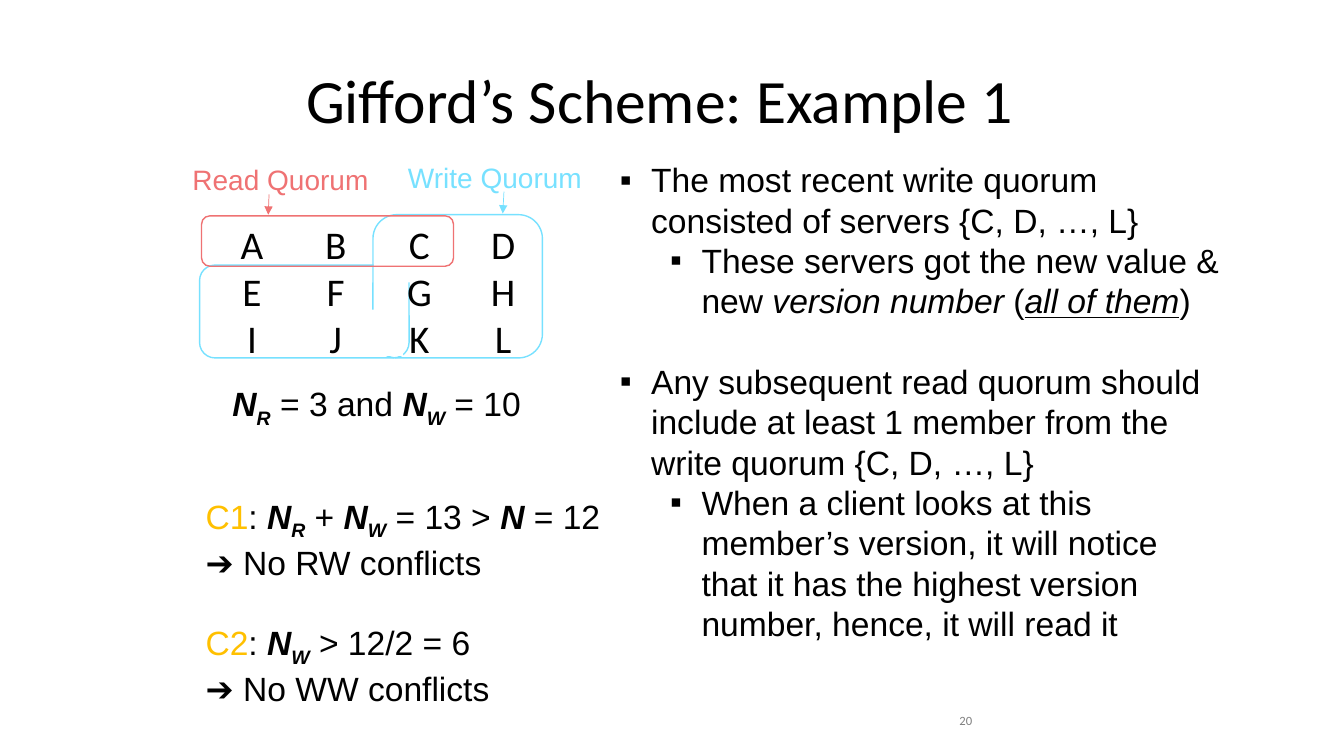
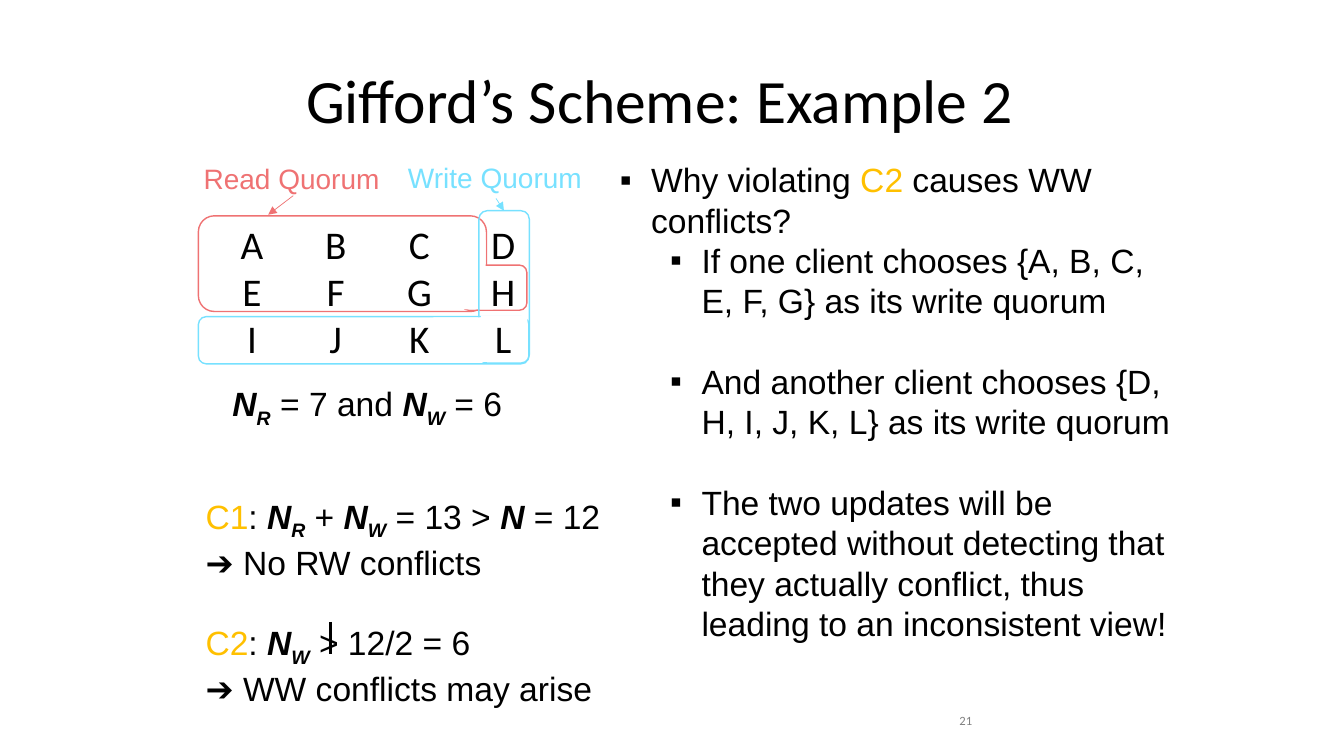
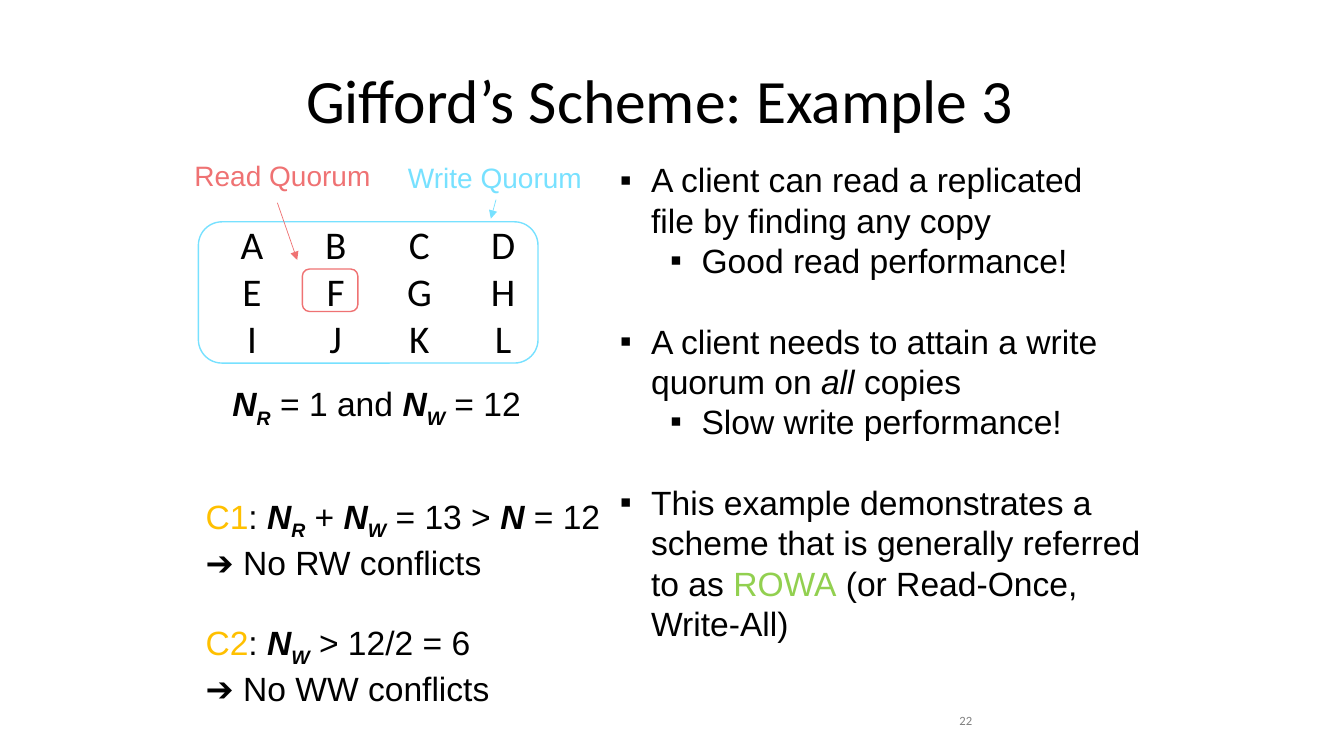
from lxml.etree import SubElement
from pptx import Presentation
from pptx.dml.color import RGBColor
from pptx.enum.shapes import MSO_CONNECTOR, MSO_SHAPE
from pptx.enum.text import MSO_ANCHOR, PP_ALIGN
from pptx.oxml.ns import qn
from pptx.util import Cm, Pt

BLACK, WHITE, GRAY = "000000", "FFFFFF", "808080"
READ, WRITE, AMBER, GREEN = "EF7273", "77E1FF", "FFC000", "92D050"

# Regions in cm: left, top, width, height
TITLE_BOX = (4.88, 0.76, 23.5, 3.68)
NUMBER_BOX = (23.93, 17.65, 7.62, 1.02)
QUORUM_BOX = (4.65, 4.57, 9.73, 5.51)
COUNT_BOX = (5.61, 9.53, 8.05, 1.27)
CONDITION_BOX = (4.93, 12.37, 10.67, 5.38)
NOTES_LEFT, NOTES_TOP, NOTES_HEIGHT = 15.37, 3.89, 12.57

BODY_FORMAT = {"name": "Arial", "size": Pt(24)}
LABEL_FORMAT = {"name": "Arial", "size": Pt(20)}
TITLE_FORMAT = {"name": "Calibri", "size": Pt(44)}
LETTER_FORMAT = {"name": "Calibri", "size": Pt(28)}
NUMBER_FORMAT = {"name": "Calibri", "size": Pt(9)}
BLANK_LINE = Pt(28.8)

# Run styles: font attributes, with colour and baseline handled apart
STYLES = {
    "plain": {},
    "symbol": {"bold": True, "italic": True},
    "sub": {"bold": True, "italic": True, "baseline": "-25000"},
    "italic": {"italic": True},
    "stress": {"italic": True, "underline": True},
    "amber": {"color": AMBER},
    "green": {"color": GREEN},
}


def color(value):
    return RGBColor.from_string(value)


def offset(box, left, top):
    return box[0] + left, box[1] + top


# Text
def add_span(para, text, base, style="plain", fill=BLACK):
    """Write one run per line of text, with line breaks between."""
    values = {**base, **STYLES[style]}
    fill = values.pop("color", fill)
    baseline = values.pop("baseline", None)
    for index, line in enumerate(text.split("\n")):
        if index:
            para.add_line_break()
        span = para.add_run()
        span.text = line
        for name, value in values.items():
            setattr(span.font, name, value)
        span.font.color.rgb = color(fill)
        if baseline:
            span._r.get_or_add_rPr().set("baseline", baseline)


def add_text(page, box, paragraphs, base, fill=BLACK, anchor=MSO_ANCHOR.TOP,
             wrap=True, **settings):
    """Each paragraph is a string or a list of (text, style) pairs."""
    frame = page.shapes.add_textbox(*map(Cm, box)).text_frame
    frame.word_wrap = wrap
    frame.vertical_anchor = anchor
    for index, content in enumerate(paragraphs):
        para = frame.add_paragraph() if index else frame.paragraphs[0]
        for name, value in settings.items():
            setattr(para, name, value)
        spans = [(content, "plain")] if isinstance(content, str) else content
        for text, style in spans:
            add_span(para, text, base, style, fill)
    return frame


def add_bullet(para, level):
    properties = para._p.get_or_add_pPr()
    properties.set("marL", str(Cm(0.79 + 1.27 * level)))
    properties.set("indent", str(Cm(-0.79)))
    para.level = level
    SubElement(properties, qn("a:buFont")).set("typeface", "Arial")
    SubElement(properties, qn("a:buChar")).set("char", "▪")


# Lines and outlines
def add_line(page, start, end, stroke, width, arrow=False):
    line = page.shapes.add_connector(
        MSO_CONNECTOR.STRAIGHT, *map(Cm, (*start, *end)))
    line.line.color.rgb = color(stroke)
    line.line.width = Pt(width)
    if arrow:
        SubElement(line.line._get_or_add_ln(), qn("a:tailEnd")).set("type", "triangle")
    SubElement(line._element.spPr, qn("a:effectLst"))


def add_mark(page, box, mark):
    """Draw a quorum outline, or a white patch that opens one."""
    stroke, left, top, width, height = mark
    patch = stroke == WHITE
    kind = MSO_SHAPE.RECTANGLE if patch else MSO_SHAPE.ROUNDED_RECTANGLE
    shape = page.shapes.add_shape(
        kind, *map(Cm, (*offset(box, left, top), width, height)))
    shape.shadow.inherit = False
    if patch:
        shape.fill.solid()
        shape.fill.fore_color.rgb = color(WHITE)
        shape.line.fill.background()
    else:
        shape.fill.background()
        shape.line.color.rgb = color(stroke)
        shape.line.width = Pt(1)


# Regions
def add_header(page, title, number):
    add_text(page, TITLE_BOX, [title], TITLE_FORMAT, anchor=MSO_ANCHOR.MIDDLE,
             alignment=PP_ALIGN.CENTER, line_spacing=0.9)
    add_text(page, NUMBER_BOX, [str(number)], NUMBER_FORMAT, GRAY, MSO_ANCHOR.MIDDLE)


def add_quorums(page, box, marks, labels):
    for mark in marks:
        add_mark(page, box, mark)
    # Server letters on centred tab stops
    rows = ["".join("\t" + letter for letter in row) for row in ("ABCD", "EFGH", "IJKL")]
    frame = add_text(page, box, rows, LETTER_FORMAT, anchor=MSO_ANCHOR.MIDDLE)
    for para in frame.paragraphs:
        stops = SubElement(para._p.get_or_add_pPr(), qn("a:tabLst"))
        for column in range(4):
            stop = SubElement(stops, qn("a:tab"))
            stop.set("pos", str(Cm(1.45 + 2.11 * column)))
            stop.set("algn", "ctr")
    # Labels with their arrows
    for name, stroke, corner, start, end in labels:
        add_line(page, offset(box, *start), offset(box, *end), stroke, 0.5, arrow=True)
        add_text(page, (*offset(box, *corner), 4.98, 1.12), [name + " Quorum"],
                 LABEL_FORMAT, stroke, wrap=False)


def add_counts(page, box, read_count, write_count):
    add_text(page, box, [[
        ("N", "symbol"), ("R", "sub"), (f" = {read_count} and ", "plain"),
        ("N", "symbol"), ("W", "sub"), (f" = {write_count}", "plain"),
    ]], BODY_FORMAT, wrap=False)


def add_conditions(page, box, outcome, violated):
    frame = add_text(page, box, [
        [("C1", "amber"), (": ", "plain"), ("N", "symbol"), ("R", "sub"),
         (" + ", "plain"), ("N", "symbol"), ("W", "sub"), (" = 13 > ", "plain"),
         ("N", "symbol"), (" = 12", "plain")],
        "➔ No RW conflicts",
        [("C2", "amber"), (": ", "plain"), ("N", "symbol"), ("W", "sub"),
         (" > 12/2 = 6", "plain")],
        f"➔ {outcome}",
    ], BODY_FORMAT, wrap=False)
    frame.paragraphs[2].space_before = BLANK_LINE
    if violated:
        add_line(page, offset(box, 3.4, 3.3), offset(box, 3.4, 4.11), BLACK, 2.75)


def add_notes(page, box, notes):
    """Each note is (level, gap before it, content)."""
    frame = add_text(page, box, [content for _, _, content in notes], BODY_FORMAT)
    for para, (level, gap, _) in zip(frame.paragraphs, notes):
        if gap:
            para.space_before = BLANK_LINE
        add_bullet(para, level)


# Slide contents; marks and labels are measured from the quorum box
EXAMPLES = [
    {
        "marks": [
            (WRITE, 4.75, 0.84, 4.27, 3.61), (WRITE, 0.38, 2.11, 5.28, 2.34),
            (WHITE, 4.77, 1.48, 1.22, 1.07), (WHITE, 4.09, 3.23, 1.42, 1.17),
            (READ, 0.43, 0.87, 6.35, 1.27),
        ],
        "labels": [
            ("Read", READ, (-0.05, -0.61), (2.13, 0.33), (2.11, 0.84)),
            ("Write", WRITE, (5.38, -0.66), (8.05, 0.26), (8.02, 0.81)),
        ],
        "counts": (3, 10),
        "outcome": "No WW conflicts",
        "notes_width": 16.15,
        "notes": [
            (0, False, "The most recent write quorum consisted of servers {C, D, …, L}"),
            (1, False, [("These servers got the new value & new ", "plain"),
                        ("version number ", "italic"), ("(", "plain"),
                        ("all of them", "stress"), (")", "plain")]),
            (0, True, "Any subsequent read quorum should include at least 1 member "
                      "from the write quorum {C, D, …, L}"),
            (1, False, "When a client looks at this member’s version, it will notice\n"
                       "that it has the highest version number, hence, it will read it"),
        ],
    },
    {
        "marks": [
            (READ, 0.35, 0.87, 7.26, 2.41), (READ, 6.98, 2.11, 1.65, 1.14),
            (WHITE, 6.35, 2.14, 1.42, 1.09), (WHITE, 6.55, 1.48, 1.04, 0.91),
            (WRITE, 0.35, 3.41, 8.33, 1.19), (WRITE, 7.42, 0.74, 1.27, 3.84),
            (WHITE, 6.27, 3.43, 1.52, 1.12), (WHITE, 7.47, 3.38, 1.17, 0.23),
        ],
        "labels": [
            ("Read", READ, (0.23, -0.63), (2.74, 0.36), (2.11, 0.84)),
            ("Write", WRITE, (5.38, -0.66), (7.85, 0.43), (8.05, 0.74)),
        ],
        "counts": (7, 6),
        "outcome": "WW conflicts may arise",
        "violated": True,
        "notes_width": 15.11,
        "notes": [
            (0, False, [("Why violating ", "plain"), ("C2", "amber"),
                        (" causes WW\nconflicts?", "plain")]),
            (1, False, "If one client chooses {A, B, C,\nE, F, G} as its write quorum"),
            (1, True, "And another client chooses {D,\nH, I, J, K, L} as its write quorum"),
            (1, True, "The two updates will be\naccepted without detecting that\n"
                      "they actually conflict, thus\nleading to an inconsistent view!"),
        ],
    },
    {
        "marks": [(WRITE, 0.35, 1.02, 8.56, 3.56), (READ, 2.97, 2.21, 1.4, 1.07)],
        "labels": [
            ("Read", READ, (0, -0.71), (2.34, 0.54), (2.84, 1.98)),
            ("Write", WRITE, (5.38, -0.66), (7.85, 0.46), (7.72, 0.94)),
        ],
        "counts": (1, 12),
        "outcome": "No WW conflicts",
        "notes_width": 15.11,
        "notes": [
            (0, False, "A client can read a replicated\nfile by finding any copy"),
            (1, False, "Good read performance!"),
            (0, True, [("A client needs to attain a write\nquorum on ", "plain"),
                       ("all", "italic"), (" copies", "plain")]),
            (1, False, "Slow write performance!"),
            (0, True, [("This example demonstrates a\nscheme that is generally referred\n"
                        "to as ", "plain"), ("ROWA", "green"),
                       (" (or Read-Once,\nWrite-All)", "plain")]),
        ],
    },
]


def add_example(deck, index, example):
    page = deck.slides.add_slide(deck.slide_layouts[6])
    add_header(page, f"Gifford’s Scheme: Example {index}", 19 + index)
    add_quorums(page, QUORUM_BOX, example["marks"], example["labels"])
    add_counts(page, COUNT_BOX, *example["counts"])
    add_conditions(page, CONDITION_BOX, example["outcome"], example.get("violated", False))
    notes_box = (NOTES_LEFT, NOTES_TOP, example["notes_width"], NOTES_HEIGHT)
    add_notes(page, notes_box, example["notes"])


def main():
    deck = Presentation()
    deck.slide_width, deck.slide_height = Cm(33.87), Cm(19.05)
    for index, example in enumerate(EXAMPLES, start=1):
        add_example(deck, index, example)
    deck.save("out.pptx")


if __name__ == "__main__":
    main()
